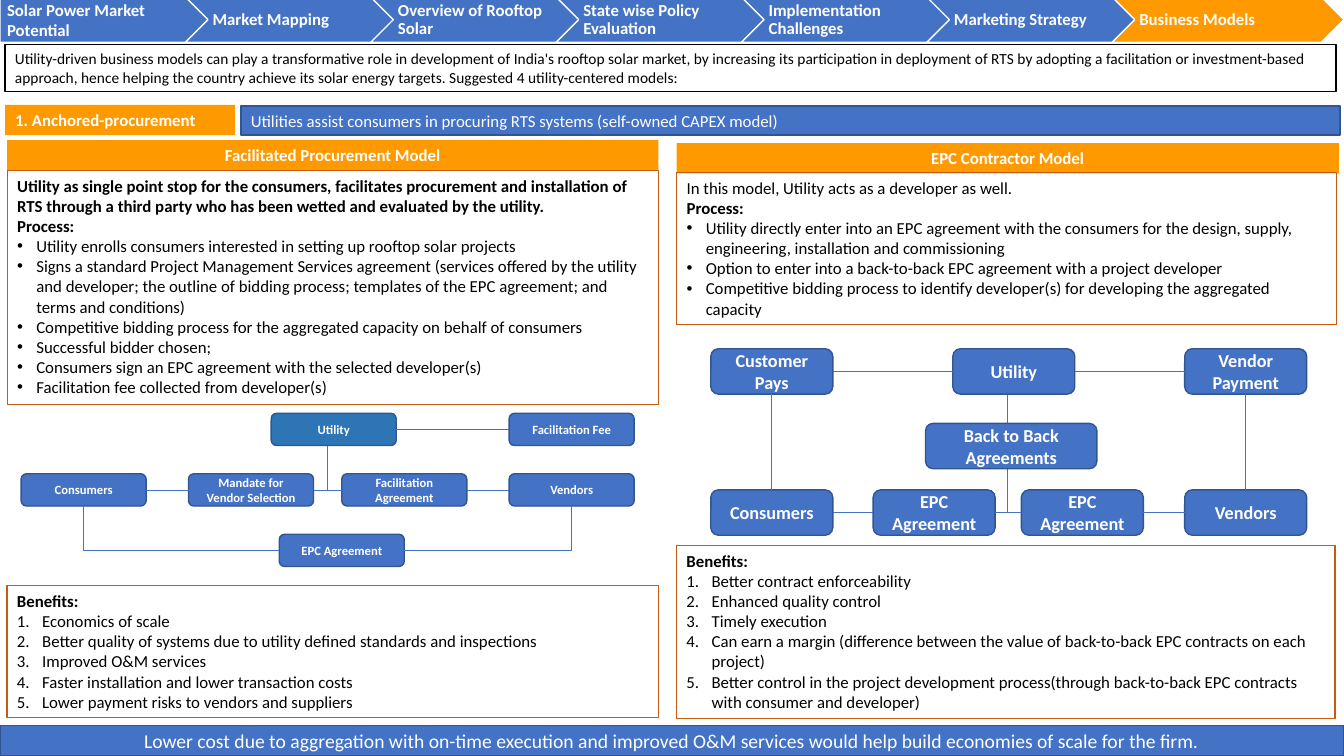
"""Builds the slide on utility-centered rooftop solar business models."""
from lxml.etree import SubElement
from pptx import Presentation
from pptx.dml.color import RGBColor
from pptx.enum.shapes import MSO_CONNECTOR as Link, MSO_SHAPE as Shape
from pptx.enum.text import MSO_ANCHOR as Anchor, MSO_AUTO_SIZE as Fit, PP_ALIGN as Align
from pptx.oxml.ns import qn
from pptx.util import Inches, Pt

COLORS = {"blue": "4472C4", "utility": "2E75B6", "edge": "325491", "orange": "FF9900",
          "rust": "C55A11", "black": "000000", "white": "FFFFFF"}
FONT = "Calibri"
WIDTH, HEIGHT = 13.33, 7.5

STEPS = [["Solar Power Market", "Potential"], ["Market Mapping"], ["Overview of Rooftop Solar"],
         ["State wise Policy Evaluation"], ["Implementation Challenges"],
         ["Marketing Strategy"], ["Business Models"]]
INTRO = ("Utility-driven business models can play a transformative role in development of India's "
         "rooftop solar market, by increasing its participation in deployment of RTS by adopting a "
         "facilitation or investment-based approach, hence helping the country achieve its solar "
         "energy targets. Suggested 4 utility-centered models:")
SECTION = "1. Anchored-procurement"
SECTION_NOTE = "Utilities assist consumers in procuring RTS systems (self-owned CAPEX model)"
TAKEAWAY = ("Lower cost due to aggregation with on-time execution and improved O&M services "
            "would help build economies of scale for the firm.")

MODELS = [
    {"heading": "Facilitated Procurement Model",
     "heading_at": (0.07, 1.39, 6.46, 0.3),
     "process_at": (0.07, 1.69, 6.46, 2.32),
     "benefits_at": (0.07, 5.81, 6.46, 1.31),
     "process": [
         ("bold", "Utility as single point stop for the consumers, facilitates procurement and "
                  "installation of RTS through a third party who has been wetted and evaluated "
                  "by the utility."),
         ("bold", "Process:"),
         ("bullet", "Utility enrolls consumers interested in setting up rooftop solar projects"),
         ("bullet", "Signs a standard Project Management Services agreement (services offered by "
                    "the utility and developer; the outline of bidding process; templates of the "
                    "EPC agreement; and terms and conditions)"),
         ("bullet", "Competitive bidding process for the aggregated capacity on behalf of consumers"),
         ("bullet", "Successful bidder chosen;"),
         ("bullet", "Consumers sign an EPC agreement with the selected developer(s)"),
         ("bullet", "Facilitation fee collected from developer(s)")],
     "benefits": ["Economics of scale",
                  "Better quality of systems due to utility defined standards and inspections",
                  "Improved O&M services",
                  "Faster installation and lower transaction costs",
                  "Lower payment risks to vendors and suppliers"],
     "text_size": 9, "node": (1.24, 0.32), "rows": (4.1, 4.7, 5.3),
     "nodes": {"utility": ("Utility", 2.69, 0), "fee": ("Facilitation Fee", 5.05, 0),
               "consumers": ("Consumers", 0.21, 1),
               "mandate": ("Mandate for Vendor Selection", 1.87, 1),
               "facilitation": ("Facilitation Agreement", 3.39, 1),
               "vendors": ("Vendors", 5.05, 1), "epc": ("EPC Agreement", 2.77, 2)},
     "wide": {}, "tint": {"utility": "utility"}, "spine": (3.25, 4.42, 4.86),
     "across": [("utility", "fee"), ("consumers", "mandate"), ("mandate", "facilitation"),
                ("facilitation", "vendors")],
     "down": [], "elbows": [("epc", 1, "consumers"), ("epc", 3, "vendors")]},
    {"heading": "EPC Contractor Model",
     "heading_at": (6.71, 1.42, 6.57, 0.3),
     "process_at": (6.71, 1.71, 6.55, 1.51),
     "benefits_at": (6.71, 5.41, 6.53, 1.72),
     "process": [
         ("plain", "In this model, Utility acts as a developer as well."),
         ("bold", "Process:"),
         ("bullet", "Utility directly enter into an EPC agreement with the consumers for the "
                    "design, supply, engineering, installation and commissioning"),
         ("bullet", "Option to enter into a back-to-back EPC agreement with a project developer"),
         ("bullet", "Competitive bidding process to identify developer(s) for developing the "
                    "aggregated capacity")],
     "benefits": ["Better contract enforceability", "Enhanced quality control", "Timely execution",
                  "Can earn a margin (difference between the value of back-to-back EPC contracts "
                  "on each project)",
                  "Better control in the project development process(through back-to-back EPC "
                  "contracts with consumer and developer)"],
     "text_size": 13, "node": (1.21, 0.45), "rows": (3.46, 4.2, 4.86),
     "nodes": {"customer": ("Customer Pays", 7.05, 0), "utility": ("Utility", 9.45, 0),
               "payment": ("Vendor Payment", 11.75, 0),
               "back": ("Back to Back Agreements", 9.18, 1),
               "consumers": ("Consumers", 7.05, 2), "epc_left": ("EPC Agreement", 8.66, 2),
               "epc_right": ("EPC Agreement", 10.13, 2), "vendors": ("Vendors", 11.75, 2)},
     "wide": {"back": 1.7}, "tint": {}, "spine": (9.99, 3.91, 5.09),
     "across": [("customer", "utility"), ("utility", "payment"), ("consumers", "epc_left"),
                ("epc_left", "epc_right"), ("epc_right", "vendors")],
     "down": [("customer", "consumers"), ("payment", "vendors")], "elbows": []},
]

deck = Presentation()
deck.slide_width, deck.slide_height = Inches(WIDTH), Inches(HEIGHT)
slide = deck.slides.add_slide(deck.slide_layouts[4])


def rgb(name):
    return RGBColor.from_string(COLORS[name])


def paint(shape, fill=None, line=None, weight=1):
    if fill:
        shape.fill.solid()
        shape.fill.fore_color.rgb = rgb(fill)
    else:
        shape.fill.background()
    if line:
        shape.line.color.rgb = rgb(line)
        shape.line.width = Pt(weight)
    else:
        shape.line.fill.background()


def place(shape, at):
    shape.left, shape.top, shape.width, shape.height = map(Inches, at)
    return shape


def add_box(at, kind=Shape.RECTANGLE):
    box = slide.shapes.add_shape(kind, *map(Inches, at))
    box.shadow.inherit = False
    return box


def write(shape, lines, size=12, color="white", align=Align.LEFT, anchor=Anchor.TOP, spacing=1.0):
    """Fills a shape with (style, text) lines."""
    frame = shape.text_frame
    frame.word_wrap, frame.auto_size, frame.vertical_anchor = True, Fit.NONE, anchor
    for number, (style, text) in enumerate(lines):
        line = frame.add_paragraph() if number else frame.paragraphs[0]
        line.alignment, line.line_spacing = align, spacing
        line.space_before = line.space_after = Pt(0)
        indent = {"bullet": 0.19, "number": 0.25}.get(style, 0)
        layout = line._p.get_or_add_pPr()
        layout.set("marL", str(Inches(indent)))
        layout.set("indent", str(Inches(-indent)))
        if style == "bullet":
            SubElement(layout, qn("a:buFont")).set("typeface", "Arial")
            SubElement(layout, qn("a:buChar")).set("char", "•")
        elif style == "number":
            SubElement(layout, qn("a:buAutoNum")).set("type", "arabicPeriod")
        else:
            SubElement(layout, qn("a:buNone"))
        run = line.add_run()
        run.text = text
        run.font.name, run.font.size, run.font.bold = FONT, Pt(size), style == "bold"
        run.font.color.rgb = rgb(color)


def connect(kind=Link.STRAIGHT, start=(0, 0), end=(0, 0)):
    link = slide.shapes.add_connector(kind, *map(Inches, (*start, *end)))
    link.line.color.rgb, link.line.width = rgb("blue"), Pt(0.5)
    SubElement(link.element.spPr, qn("a:effectLst"))
    return link


def join(first, first_side, second, second_side, kind=Link.STRAIGHT):
    link = connect(kind)
    link.begin_connect(first, first_side)
    link.end_connect(second, second_side)
    return link


def draw_flow(model):
    x, top, bottom = model["spine"]
    connect(start=(x, top), end=(x, bottom))
    width, height = model["node"]
    nodes = {}
    for key, (label, left, row) in model["nodes"].items():
        at = left, model["rows"][row], model["wide"].get(key, width), height
        nodes[key] = add_box(at, Shape.ROUNDED_RECTANGLE)
        paint(nodes[key], model["tint"].get(key, "blue"), "edge")
        write(nodes[key], [("bold", label)], model["text_size"], align=Align.CENTER,
              anchor=Anchor.MIDDLE)
    for first, second in model["across"]:
        join(nodes[first], 3, nodes[second], 1)
    for first, second in model["down"]:
        join(nodes[first], 2, nodes[second], 0)
    for first, side, second in model["elbows"]:
        elbow = join(nodes[first], side, nodes[second], 2, Link.ELBOW)
        elbow.element.spPr.find(qn("a:prstGeom")).set("prst", "bentConnector2")


step_width, step_top, step_height = 2.3, -0.03, 0.45
pitch = (WIDTH - step_width) / (len(STEPS) - 1)
for index, words in enumerate(STEPS):
    left = index * pitch
    arrow = add_box((left, step_top, step_width, step_height),
                    Shape.CHEVRON if index else Shape.PENTAGON)
    paint(arrow, "orange" if index == len(STEPS) - 1 else "blue", "white")
    label_left, label_width = (left + 0.22, 1.85) if index else (0, 2.19)
    label = slide.shapes.add_textbox(*map(Inches, (label_left, step_top, label_width, step_height)))
    write(label, [("bold", text) for text in words], anchor=Anchor.MIDDLE,
          spacing=0.9 if index else 1.0)
    frame = label.text_frame
    frame.margin_left, frame.margin_right = Inches(0.05 if index else 0.07), Inches(0.02)
    frame.margin_top = frame.margin_bottom = Inches(0.04)

intro = add_box((0.05, 0.44, 13.2, 0.47))
paint(intro, line="black")
write(intro, [("plain", INTRO)], 11, "black")

section = place(slide.shapes.title, (0.05, 1.04, 2.28, 0.3))
paint(section, "orange")
write(section, [("bold", SECTION)])
section_note = add_box((2.39, 1.05, 10.9, 0.29))
paint(section_note, "blue", "edge")
write(section_note, [("plain", SECTION_NOTE)], anchor=Anchor.MIDDLE)

holders = {holder.placeholder_format.idx: holder for holder in slide.placeholders}
for index, model in enumerate(MODELS):
    heading = place(holders[2 * index + 1], model["heading_at"])
    paint(heading, "orange")
    write(heading, [("bold", model["heading"])], align=Align.CENTER)
    process = place(holders[2 * index + 2], model["process_at"])
    paint(process, line="rust", weight=0.75)
    write(process, model["process"], color="black")
    draw_flow(model)
    benefits = add_box(model["benefits_at"])
    paint(benefits, line="rust")
    write(benefits, [("bold", "Benefits:")] + [("number", text) for text in model["benefits"]],
          color="black")

takeaway = add_box((0, HEIGHT * 0.96, WIDTH, HEIGHT * 0.04))
paint(takeaway, "blue", "edge")
write(takeaway, [("plain", TAKEAWAY)], 14, align=Align.CENTER, anchor=Anchor.MIDDLE)

deck.save("out.pptx")
